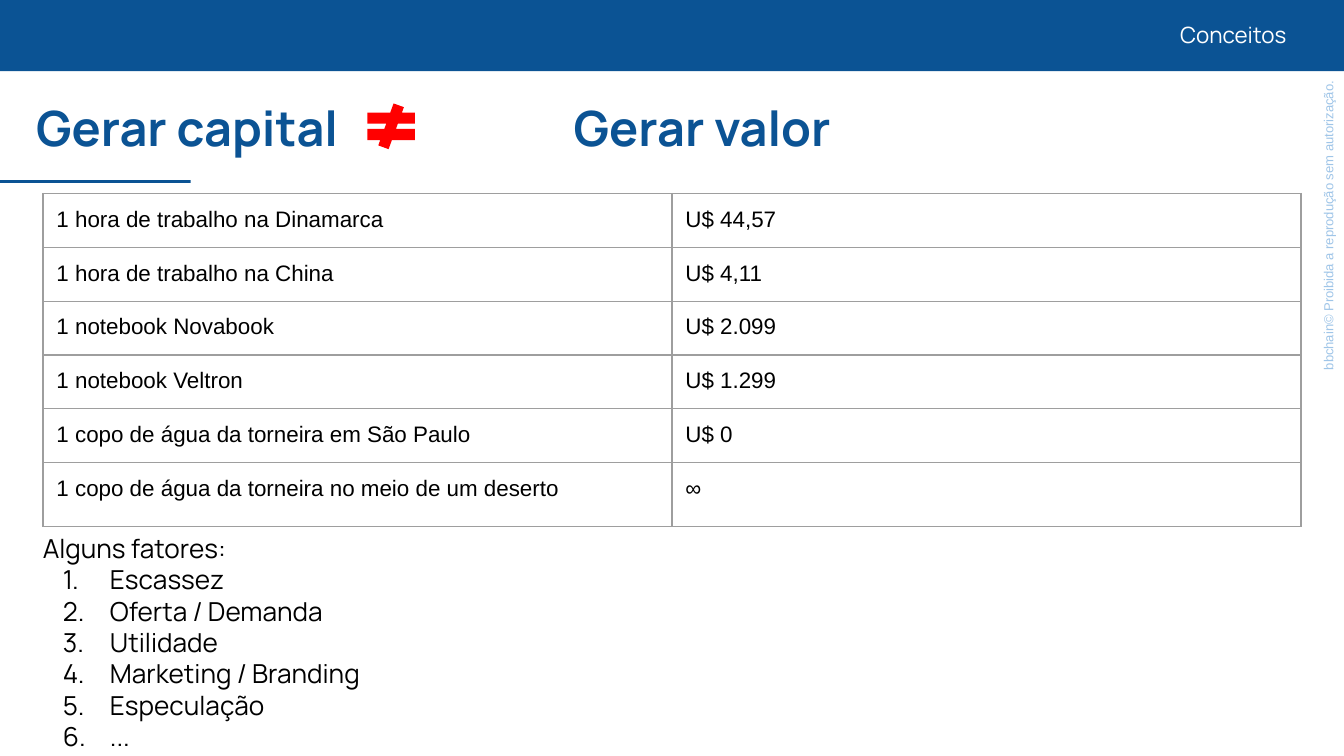
from lxml.etree import SubElement
from pptx import Presentation
from pptx.dml.color import RGBColor
from pptx.enum.shapes import MSO_SHAPE
from pptx.enum.text import MSO_ANCHOR, PP_ALIGN
from pptx.oxml.ns import qn
from pptx.util import Inches, Pt

BLUE = RGBColor(0x0B, 0x53, 0x94)
PALE_BLUE = RGBColor(0x9F, 0xC5, 0xE8)
RED = RGBColor(0xFF, 0x00, 0x00)
WHITE = RGBColor(0xFF, 0xFF, 0xFF)
BLACK = RGBColor(0x00, 0x00, 0x00)
GRAY = RGBColor(0x9E, 0x9E, 0x9E)

VALUES = [
    ("1 hora de trabalho na Dinamarca", "U$ 44,57"),
    ("1 hora de trabalho na China", "U$ 4,11"),
    ("1 notebook Novabook", "U$ 2.099"),
    ("1 notebook Veltron", "U$ 1.299"),
    ("1 copo de água da torneira em São Paulo", "U$ 0"),
    ("1 copo de água da torneira no meio de um deserto", "∞"),
]
FACTORS = ["Escassez", "Oferta / Demanda", "Utilidade", "Marketing / Branding", "Especulação", "..."]


def add_block(page, preset, left, top, width, height, color):
    """Add a plain filled shape without outline."""
    block = page.shapes.add_shape(preset, Inches(left), Inches(top), Inches(width), Inches(height))
    block.shadow.inherit = False
    block.fill.solid()
    block.fill.fore_color.rgb = color
    block.line.fill.background()
    return block


def set_insets(holder):
    """Give a text frame or cell equal insets."""
    holder.margin_left = holder.margin_right = Inches(0.1)
    holder.margin_top = holder.margin_bottom = Inches(0.1)


def style(para, name, size, color, bold=False):
    """Set the font of a paragraph."""
    para.font.name = name
    para.font.size = Pt(size)
    para.font.color.rgb = color
    para.font.bold = bold


def add_text(page, left, top, width, height, text):
    """Add a wrapped text box and return it with its first paragraph."""
    box = page.shapes.add_textbox(Inches(left), Inches(top), Inches(width), Inches(height))
    box.text_frame.word_wrap = True
    set_insets(box.text_frame)
    para = box.text_frame.paragraphs[0]
    para.text = text
    return box, para


def add_header(page, left, top, width, height):
    """Draw the top band with the section name."""
    add_block(page, MSO_SHAPE.RECTANGLE, left, top, width, height, BLUE)
    box, para = add_text(page, left + 2.26, top + 0.09, width - 2.59, 0.34, "Conceitos")
    box.text_frame.vertical_anchor = MSO_ANCHOR.MIDDLE
    para.alignment = PP_ALIGN.RIGHT
    style(para, "Manrope", 12, WHITE)


def add_heading(page, left, top, width, height):
    """Write the two compared ideas, the unequal sign and the accent line."""
    para = add_text(page, left, top, width, height, "Gerar capital \t\tGerar valor")[1]
    tabs = SubElement(para._p.get_or_add_pPr(), qn("a:tabLst"))
    for stop in (3, 4):
        SubElement(tabs, qn("a:tab"), pos=str(Inches(stop)), algn="l")
    style(para, "Manrope", 26, BLUE, True)
    sign = add_block(page, MSO_SHAPE.MATH_NOT_EQUAL, left + 2.5, top + 0.14, 0.48, 0.34, RED)
    for index, value in enumerate((0.24, 66, 0.12)):
        sign.adjustments[index] = value
    for start, length in ((0, 1.03), (0.36, 1.06)):
        add_block(page, MSO_SHAPE.RECTANGLE, start, top + 0.71, length, 0.02, BLUE)


def add_borders(cell):
    """Draw thin gray borders around a cell."""
    properties = cell._tc.get_or_add_tcPr()
    for index, side in enumerate(("a:lnL", "a:lnR", "a:lnT", "a:lnB")):
        line = SubElement(properties, qn(side), w=str(Pt(0.75)))
        SubElement(SubElement(line, qn("a:solidFill")), qn("a:srgbClr"), val=str(GRAY))
        properties.insert(index, line)


def add_value_table(page, left, top, width, height):
    """Build the table of goods and their prices."""
    frame = page.shapes.add_table(len(VALUES), 2, Inches(left), Inches(top), Inches(width), Inches(height))
    table = frame.table
    table.first_row = table.horz_banding = False
    row_height = Pt(28.6)
    for row, values in zip(table.rows, VALUES):
        row.height = row_height
        for cell, value in zip(row.cells, values):
            cell.text = value
            set_insets(cell)
            cell.fill.background()
            add_borders(cell)
            style(cell.text_frame.paragraphs[0], "Arial", 12, BLACK)
    last = len(VALUES) - 1
    table.rows[last].height = Inches(height) - row_height * last


def add_factors(page, left, top, width, height):
    """Write the numbered list of factors."""
    box, para = add_text(page, left, top, width, height, "Alguns fatores:")
    style(para, "Manrope", 14, BLACK)
    for factor in FACTORS:
        para = box.text_frame.add_paragraph()
        para.text = factor
        properties = para._p.get_or_add_pPr()
        properties.set("marL", str(Inches(0.5)))
        properties.set("indent", str(Inches(-0.35)))
        SubElement(properties, qn("a:buFont"), typeface="Manrope")
        SubElement(properties, qn("a:buAutoNum"), type="arabicPeriod")
        style(para, "Manrope", 14, BLACK)


def add_rights_note(page, left, top, width, height):
    """Write the upright copyright line at the right edge."""
    box, para = add_text(page, left, top, width, height, "bbchain© Proibida a reprodução sem autorização.")
    box.rotation = 270
    para.alignment = PP_ALIGN.RIGHT
    style(para, "Arial", 7, PALE_BLUE)


def main():
    """Build and save the slide."""
    deck = Presentation()
    deck.slide_width = Inches(10)
    deck.slide_height = deck.slide_width * 9 // 16
    page = deck.slides.add_slide(deck.slide_layouts[6])
    add_header(page, 0, 0, 10, 0.53)
    add_heading(page, 0.17, 0.63, 9.36, 0.59)
    add_factors(page, 0.22, 3.86, 9.36, 1.39)
    add_value_table(page, 0.32, 1.44, 9.36, 2.46)
    add_rights_note(page, 8.56, 1.71, 2.68, 0.27)
    deck.save("out.pptx")


if __name__ == "__main__":
    main()
